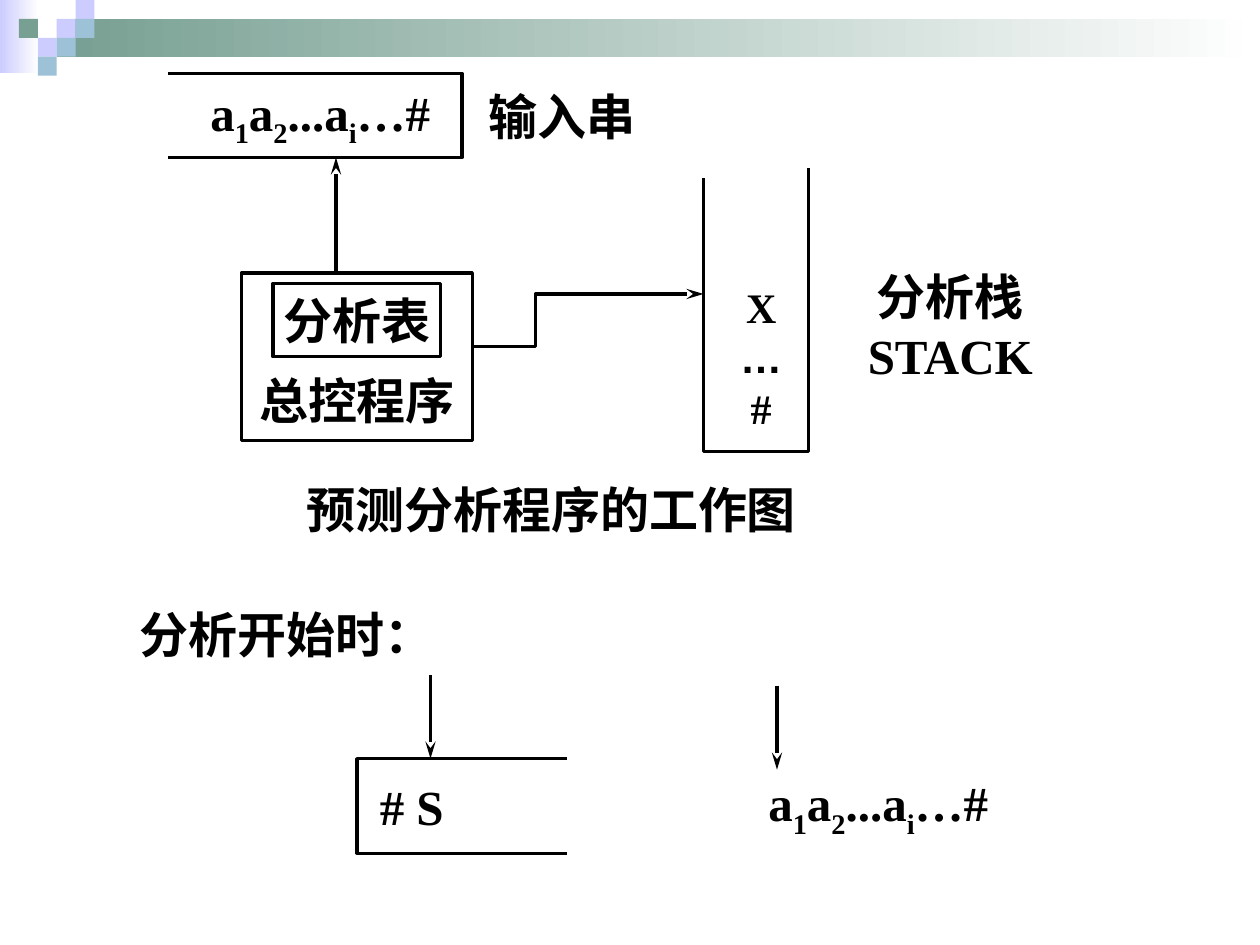
from lxml import etree
from pptx import Presentation
from pptx import util as u
from pptx.dml.color import RGBColor
from pptx.enum import shapes, text
from pptx.oxml.ns import qn

COLUMNS, ROWS = 120, 90
TILE = 1.8
BLACK, LILAC, GREEN, BLUE, WHITE = "000000", "CCCCFF", "779F92", "9DC2D7", "FFFFFF"
INPUT_STRING = [("a", 0), ("1", 1), ("a", 0), ("2", 1), ("...a", 0), ("i", 1), ("…#", 0)]
CENTER, LEFT = text.PP_ALIGN.CENTER, text.PP_ALIGN.LEFT
MIDDLE, BOTTOM, TOP = text.MSO_ANCHOR.MIDDLE, text.MSO_ANCHOR.BOTTOM, text.MSO_ANCHOR.TOP


def cells(count):
    """Turn a number of grid cells, twelve to the inch, into a length."""
    return u.Emu(round(count * u.Inches(1) / 12))


def color(hex_value):
    """Turn a hex string into a colour."""
    return RGBColor.from_string(hex_value)


def add_rectangle(slide, area, *fills):
    """Add a rectangle with no fill, one fill colour or a gradient of two."""
    shape = slide.shapes.add_shape(shapes.MSO_SHAPE.RECTANGLE, *map(cells, area))
    shape.shadow.inherit = False
    shape.line.fill.background()
    if len(fills) == 2:
        shape.fill.gradient()
        shape.fill.gradient_angle = 0
        for stop, fill in zip(shape.fill.gradient_stops, fills):
            stop.color.rgb = color(fill)
    elif fills:
        shape.fill.solid()
        shape.fill.fore_color.rgb = color(fills[0])
    else:
        shape.fill.background()
    return shape


def set_line(shape, arrow=False):
    """Give a shape the diagram's black line, with an arrowhead if wanted."""
    shape.line.width = u.Pt(1.75)
    shape.line.fill.solid()
    shape.line.fill.fore_color.rgb = color(BLACK)
    if arrow:
        line = shape.line._get_or_add_ln()
        etree.SubElement(line, qn("a:tailEnd"), type="stealth", w="med", len="lg")


def write(shape, paragraphs, size=28, align=CENTER, anchor=MIDDLE, fonts=()):
    """Write paragraphs, each a list of pairs of wording and subscript flag."""
    frame = shape.text_frame
    frame.word_wrap = False
    frame.vertical_anchor = anchor
    for index, runs in enumerate(paragraphs):
        paragraph = frame.add_paragraph() if index else frame.paragraphs[0]
        paragraph.alignment = align
        for wording, subscript in runs:
            run = paragraph.add_run()
            run.text = wording
            run.font.name = fonts[index] if fonts else "Times New Roman"
            run.font.size = u.Pt(size)
            run.font.bold = True
            run.font.color.rgb = color(BLACK)
            if subscript:
                run.font._element.set("baseline", "-25000")


def plain(*wordings):
    """Make one paragraph of a single run from each wording."""
    return [[(wording, 0)] for wording in wordings]


def add_label(slide, area, paragraphs, **style):
    """Add a text box."""
    write(slide.shapes.add_textbox(*map(cells, area)), paragraphs, **style)


def add_frame(slide, area, wording, anchor=MIDDLE, bottom=0.6):
    """Add an outlined rectangle with a title."""
    shape = add_rectangle(slide, area)
    set_line(shape)
    write(shape, plain(wording), anchor=anchor)
    shape.text_frame.margin_bottom = cells(bottom)


def add_path(slide, points, arrow=False):
    """Add an open, unfilled outline through the points."""
    start, *others = [tuple(map(cells, point)) for point in points]
    builder = slide.shapes.build_freeform(*start)
    builder.add_line_segments(others, close=False)
    shape = builder.convert_to_shape()
    shape.shadow.inherit = False
    shape.fill.background()
    set_line(shape, arrow)


def add_arrow(slide, column, start, end):
    """Add a vertical arrow."""
    connector = slide.shapes.add_connector(
        shapes.MSO_CONNECTOR.STRAIGHT, *map(cells, (column, start, column, end)))
    set_line(connector, arrow=True)
    etree.SubElement(connector._element.spPr, qn("a:effectLst"))


def add_banner(slide):
    """Add the gradient bands and the mosaic of tiles at the top."""
    add_rectangle(slide, (0, 0, 3.7, 7), LILAC, WHITE)
    add_rectangle(slide, (3 * TILE, TILE, COLUMNS - 3 * TILE, 2 * TILE), GREEN, WHITE)
    tiles = [(3, 1, LILAC), (4, 0, LILAC), (4, 1, BLUE), (2, 2, LILAC),
             (1, 1, GREEN), (3, 2, BLUE), (2, 3, BLUE)]
    for column, row, fill in tiles:
        add_rectangle(slide, (column * TILE, row * TILE, TILE, TILE), fill)


def add_working_diagram(slide):
    """Add the parser with its input string and stack."""
    add_frame(slide, (23, 26, 22, 16), "总控程序", BOTTOM, bottom=1.1)
    add_frame(slide, (26, 27, 16, 7), "分析表")
    add_path(slide, [(67, 17), (67, 43), (77, 43), (77, 16)])
    add_label(slide, (69, 26, 7, 16), plain("X", "…", "#"), size=24,
              fonts=("Times New Roman", "Arial", "Times New Roman"))
    add_label(slide, (41, 8, 25, 6), plain("输入串"))
    add_label(slide, (78, 28, 25, 6), plain("分析栈", "STACK"))
    add_label(slide, (18, 8, 25, 6), [INPUT_STRING])
    add_path(slide, [(16, 7), (44, 7), (44, 15), (16, 15)])
    add_arrow(slide, 32, 26, 15)
    add_path(slide, [(45, 33), (51, 33), (51, 28), (67, 28)], arrow=True)
    add_label(slide, (27, 45, 51, 7), plain("预测分析程序的工作图"))


def add_start_state(slide):
    """Add the stack and the input string as they are at the start."""
    add_path(slide, [(54, 72.25), (34, 72.25), (34, 81.25), (54, 81.25)])
    add_label(slide, (35, 73.3, 17, 7), plain("# S"), align=LEFT)
    add_label(slide, (72, 73.3, 25, 7), [INPUT_STRING], align=LEFT)
    add_arrow(slide, 41, 64.3, 72.25)
    add_arrow(slide, 74, 65.3, 73.3)
    add_label(slide, (12.1, 57, 30.4, 6.8), plain("分析开始时："), align=LEFT, anchor=TOP)


def main():
    """Build and save the presentation."""
    presentation = Presentation()
    presentation.slide_width = cells(COLUMNS)
    presentation.slide_height = cells(ROWS)
    slide = presentation.slides.add_slide(presentation.slide_layouts[6])
    add_banner(slide)
    add_working_diagram(slide)
    add_start_state(slide)
    presentation.save("out.pptx")


if __name__ == "__main__":
    main()
